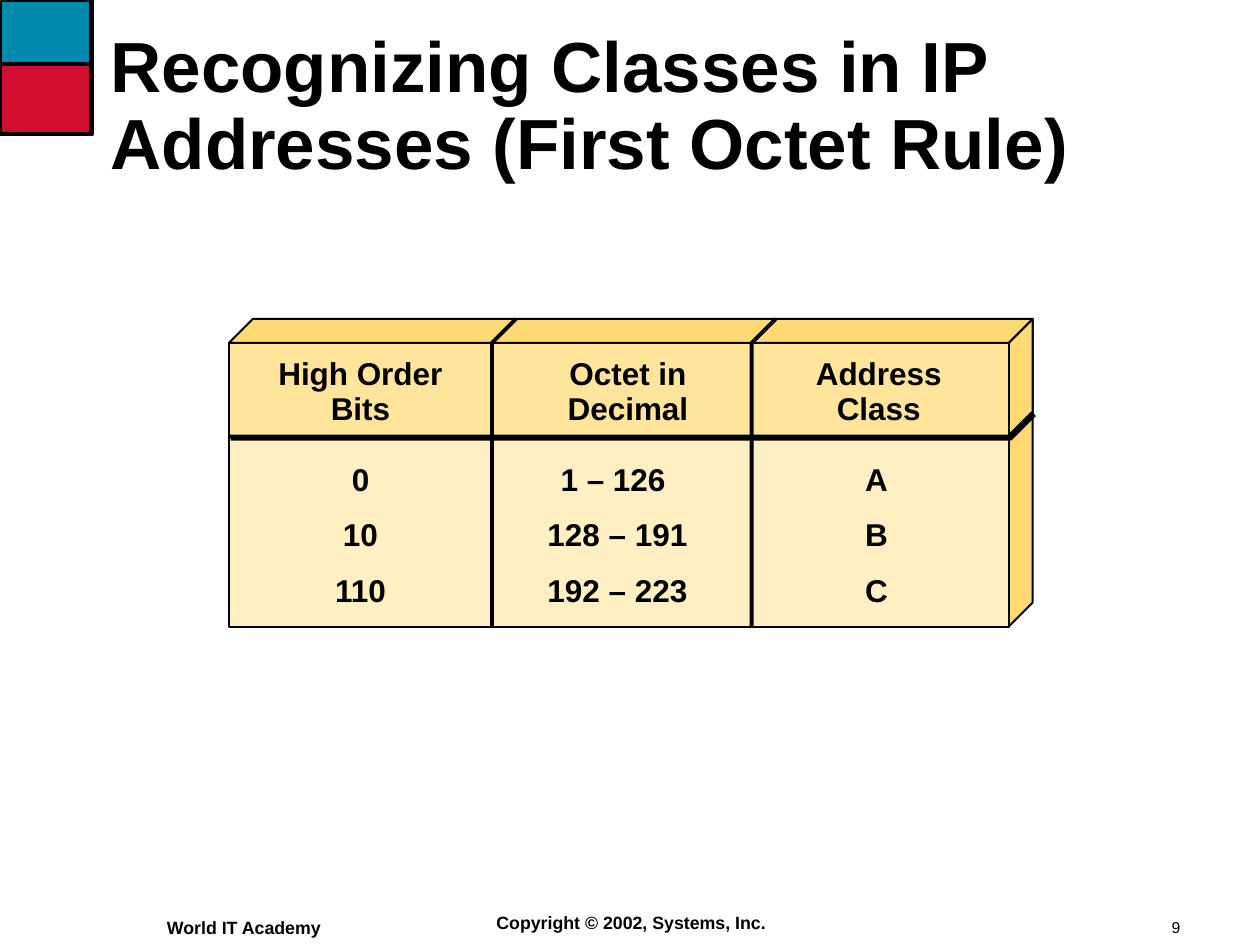
from dataclasses import dataclass
from typing import Optional

from lxml import etree
from pptx import Presentation
from pptx.dml.color import RGBColor
from pptx.enum.shapes import MSO_SHAPE
from pptx.enum.text import MSO_ANCHOR, MSO_AUTO_SIZE, PP_ALIGN
from pptx.oxml.ns import qn
from pptx.util import Cm, Pt

RECTANGLE = MSO_SHAPE.RECTANGLE
LEFT, CENTER = PP_ALIGN.LEFT, PP_ALIGN.CENTER
TOP, MIDDLE = MSO_ANCHOR.TOP, MSO_ANCHOR.MIDDLE
NO_AUTOFIT = MSO_AUTO_SIZE.NONE

COLORS = {
    "black": "000000", "teal": "008AAE", "red": "CF0E30",
    "edge": "FFDA74", "header": "FFE59B", "body": "FFEFC2",
}

# Table block, in centimetres: the front face plus its receding edges
FRONT_LEFT, FRONT_RIGHT = 4.1, 18.06
FRONT_TOP, HEADER_BOTTOM, FRONT_BOTTOM = 6.14, 7.82, 11.22
DEPTH = 0.43
DIVIDERS = (8.81, 13.46)

Point = tuple[float, float]


@dataclass
class Panel:
    left: float
    top: float
    width: float
    height: float
    color: str


@dataclass
class Outline:
    points: list[Point]
    width: float
    color: Optional[str] = None
    shadow: bool = False


@dataclass
class Label:
    lines: list[str]
    left: float
    top: float
    width: float
    height: float
    size: float = 16
    bold: bool = True
    align: PP_ALIGN = CENTER
    spacing: float = 0.95
    wrap: bool = True
    inset_x: float = 0.25
    inset_y: float = 0.13


@dataclass
class Column:
    heading: str
    heading_left: float
    heading_width: float
    values: list[str]
    values_left: float


def rgb(name: str) -> RGBColor:
    return RGBColor.from_string(COLORS[name])


def back(x: float, y: float) -> Point:
    """Move a front point to the rear of the block."""
    return x + DEPTH, y - DEPTH


def paint(shape, color: Optional[str], width: float) -> None:
    shape.shadow.inherit = False
    if color:
        shape.fill.solid()
        shape.fill.fore_color.rgb = rgb(color)
    else:
        shape.fill.background()
    shape.line.color.rgb = rgb("black")
    shape.line.width = Pt(width)


def draw_panel(page, panel: Panel) -> None:
    place = (panel.left, panel.top, panel.width, panel.height)
    shape = page.shapes.add_shape(RECTANGLE, *map(Cm, place))
    paint(shape, panel.color, 1)


def draw_outline(page, outline: Outline) -> None:
    points = [(Cm(x), Cm(y)) for x, y in outline.points]
    builder = page.shapes.build_freeform(*points[0], scale=1.0)
    builder.add_line_segments(points[1:], close=outline.color is not None)
    shape = builder.convert_to_shape()
    paint(shape, outline.color, outline.width)
    if outline.shadow:
        effects = shape._element.spPr.find(qn("a:effectLst"))
        shadow = etree.SubElement(effects, qn("a:outerShdw"),
                                  dist=str(Pt(1.4)), dir="2700000")
        etree.SubElement(shadow, qn("a:srgbClr"), val=COLORS["black"])


def fill_text(box, label: Label, anchor: MSO_ANCHOR) -> None:
    place = {"left": label.left, "top": label.top,
             "width": label.width, "height": label.height}
    for name, value in place.items():
        setattr(box, name, Cm(value))
    frame = box.text_frame
    frame_format = {
        "word_wrap": label.wrap, "auto_size": NO_AUTOFIT,
        "vertical_anchor": anchor,
        "margin_left": Cm(label.inset_x), "margin_right": Cm(label.inset_x),
        "margin_top": Cm(label.inset_y), "margin_bottom": Cm(label.inset_y),
    }
    for name, value in frame_format.items():
        setattr(frame, name, value)
    font_format = {"name": "Arial", "size": Pt(label.size), "bold": label.bold}
    for index, line in enumerate(label.lines):
        para = frame.add_paragraph() if index else frame.paragraphs[0]
        para.text = line
        para.alignment = label.align
        para.line_spacing = label.spacing
        para.space_before = Pt(10 if index else 0)
        for span in para.runs:
            for name, value in font_format.items():
                setattr(span.font, name, value)
            span.font.color.rgb = rgb("black")


def draw_label(page, label: Label) -> None:
    fill_text(page.shapes.add_textbox(0, 0, 0, 0), label, TOP)


def side_face(bottom: float) -> Outline:
    corners = [(FRONT_RIGHT, FRONT_TOP), (FRONT_RIGHT, bottom)]
    rear = [back(*corner) for corner in reversed(corners)]
    return Outline(corners + rear, 1, "edge")


def front_panel(bottom: float, color: str) -> Panel:
    return Panel(FRONT_LEFT, FRONT_TOP, FRONT_RIGHT - FRONT_LEFT,
                 bottom - FRONT_TOP, color)


TITLE = Label(["Recognizing Classes in IP\nAddresses (First Octet Rule)"],
              1.78, 0.53, 19.66, 2.82, size=36, align=LEFT, spacing=0.9,
              inset_x=0.2, inset_y=0.1)
COLUMNS = [
    Column("High Order\nBits", 4.65, 3.61, ["0", "10", "110"], 4.65),
    Column("Octet in\nDecimal", 8.92, 4.65,
           ["1 – 126 ", "128 – 191", "192 – 223"], 9.25),
    Column("Address\nClass", 13.41, 4.65, ["A", "B", "C"], 13.89),
]
FOOTERS = [
    Label(["9"], 20.78, 16.33, 1.7, 0.53, size=8, bold=False, align=LEFT,
          spacing=1, wrap=False, inset_x=0.2, inset_y=0.1),
    Label(["Copyright © 2002, Systems, Inc."], 8.66, 16.2, 5.28, 0.61,
          size=9, spacing=1, wrap=False),
    Label(["World IT Academy"], 2.74, 16.28, 3.35, 0.64,
          size=9, align=LEFT, spacing=1),
]


def main() -> None:
    deck = Presentation()
    deck.slide_width, deck.slide_height = Cm(22.56), Cm(16.92)
    page = deck.slides.add_slide(deck.slide_layouts[5])
    fill_text(page.shapes.title, TITLE, MIDDLE)

    # Corner blocks
    draw_panel(page, Panel(0.02, 0.02, 1.6, 1.73, "teal"))
    draw_panel(page, Panel(0.02, 1.17, 1.6, 1.22, "red"))
    draw_outline(page, Outline([(1.65, 1.14), (0, 1.14)], 2))
    draw_outline(page, Outline([(0, 2.4), (1.65, 2.4), (1.65, 0)], 2))

    # Faces of the table block
    draw_outline(page, side_face(FRONT_BOTTOM))
    draw_outline(page, side_face(HEADER_BOTTOM))
    draw_panel(page, front_panel(FRONT_BOTTOM, "body"))
    draw_panel(page, front_panel(HEADER_BOTTOM, "header"))
    top_edge = [(FRONT_LEFT, FRONT_TOP), (FRONT_RIGHT, FRONT_TOP)]
    top_rear = [back(*corner) for corner in reversed(top_edge)]
    draw_outline(page, Outline(top_edge + top_rear, 1, "edge"))

    # Rules between header, body and columns
    header_end = (FRONT_RIGHT, HEADER_BOTTOM)
    draw_outline(page, Outline([(FRONT_LEFT, HEADER_BOTTOM), header_end,
                                back(*header_end)], 2, shadow=True))
    for x in DIVIDERS:
        draw_outline(page, Outline([(x, FRONT_BOTTOM), (x, FRONT_TOP),
                                    back(x, FRONT_TOP)], 2))

    # Column text and footers
    for column in COLUMNS:
        draw_label(page, Label([column.heading], column.heading_left, 6.25,
                               column.heading_width, 1.55))
        draw_label(page, Label(column.values, column.values_left, 8.15,
                               3.61, 2.9))
    for footer in FOOTERS:
        draw_label(page, footer)

    deck.save("out.pptx")


if __name__ == "__main__":
    main()
